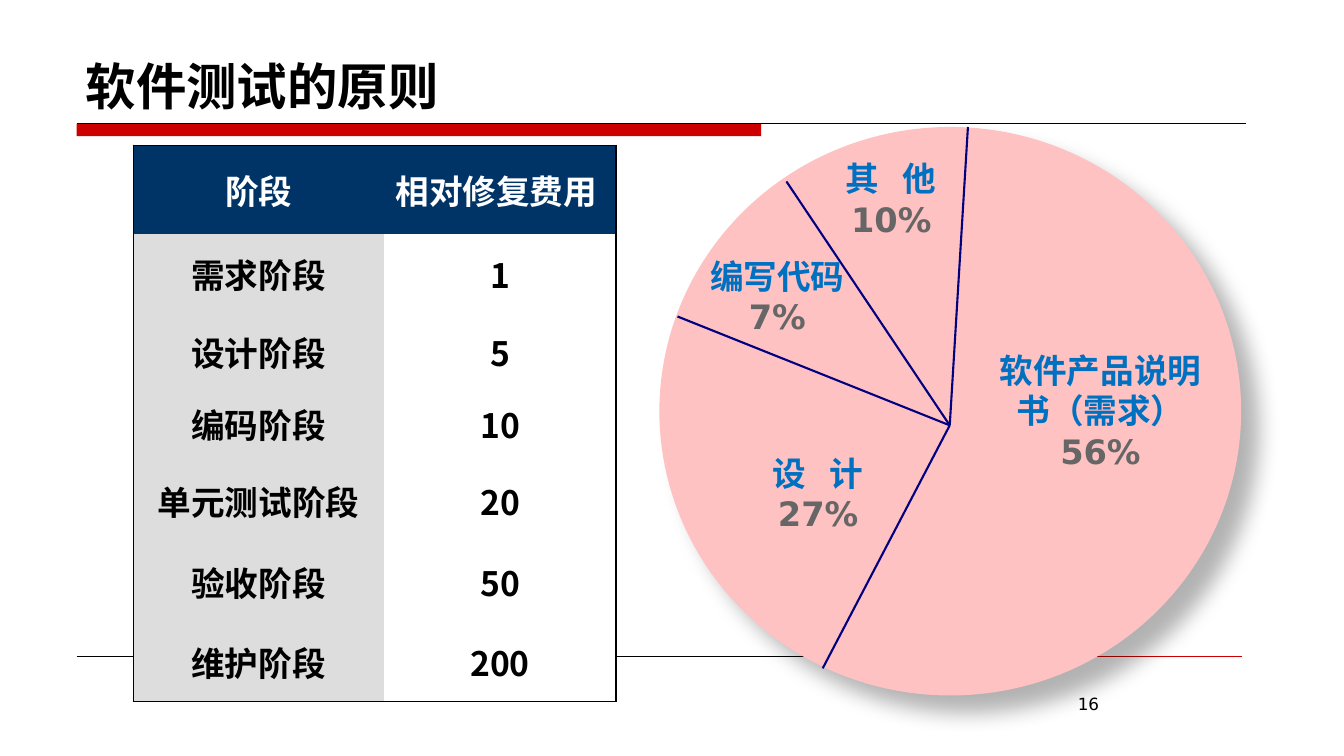
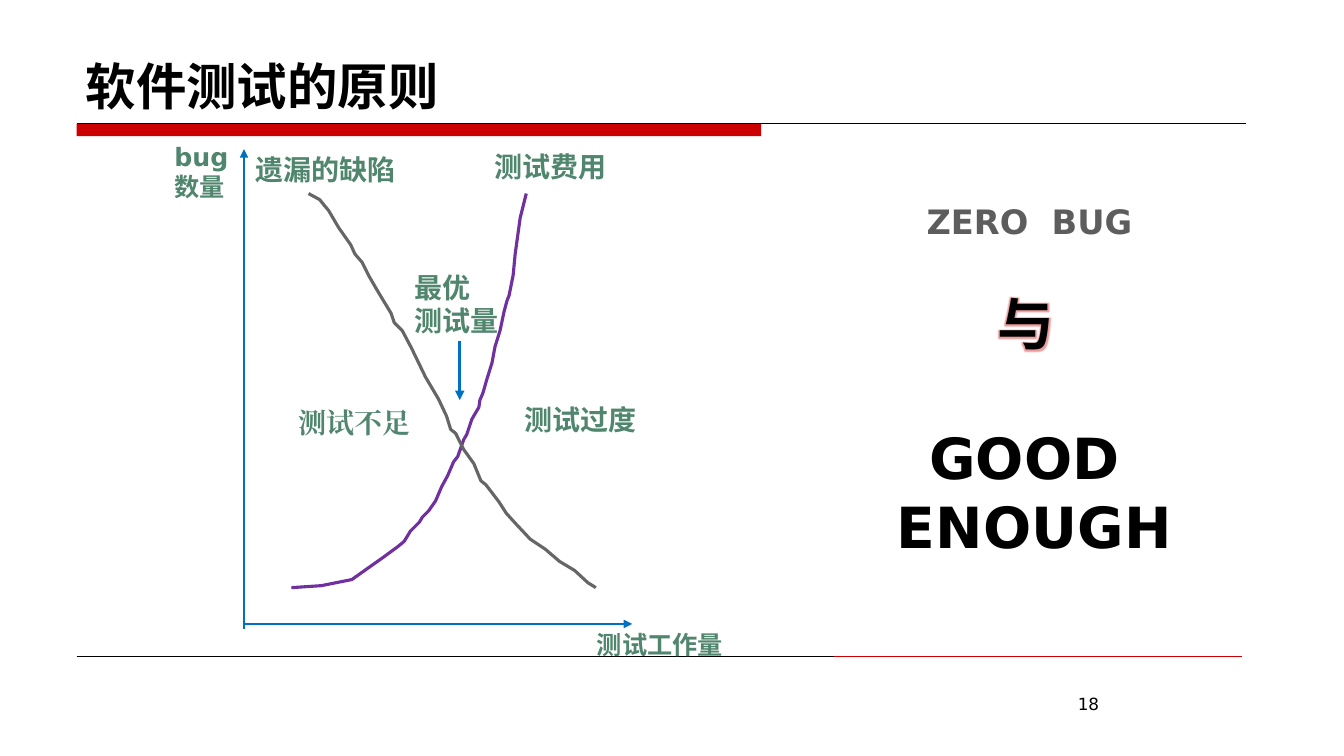
from lxml import etree
from pptx import Presentation
from pptx.dml.color import RGBColor
from pptx.enum.shapes import MSO_CONNECTOR, MSO_SHAPE, PP_PLACEHOLDER
from pptx.enum.text import MSO_ANCHOR, PP_ALIGN
from pptx.oxml.ns import qn
from pptx.util import Inches, Pt

STRAIGHT = MSO_CONNECTOR.STRAIGHT
RECTANGLE, OVAL = MSO_SHAPE.RECTANGLE, MSO_SHAPE.OVAL
LEFT, CENTER, RIGHT = PP_ALIGN.LEFT, PP_ALIGN.CENTER, PP_ALIGN.RIGHT
TOP, MIDDLE, BOTTOM = MSO_ANCHOR.TOP, MSO_ANCHOR.MIDDLE, MSO_ANCHOR.BOTTOM

BLACK = RGBColor(0x00, 0x00, 0x00)
WHITE = RGBColor(0xFF, 0xFF, 0xFF)
RED = RGBColor(0xCC, 0x00, 0x00)
DARK_BLUE = RGBColor(0x00, 0x33, 0x66)
NAVY = RGBColor(0x00, 0x00, 0x80)
BLUE = RGBColor(0x00, 0x70, 0xC0)
PINK = RGBColor(0xFF, 0xC2, 0xC2)
LIGHT_GRAY = RGBColor(0xDD, 0xDD, 0xDD)
GRAY = RGBColor(0x66, 0x66, 0x66)
SLOGAN_GRAY = RGBColor(0x5D, 0x5D, 0x5D)
GREEN = RGBColor(0x51, 0x86, 0x6E)
PURPLE = RGBColor(0x70, 0x30, 0xA0)

SANS, CJK, SERIF = "DejaVu Sans", "Noto Sans CJK SC", "Times New Roman"

TITLE = "软件测试的原则"
TITLE_BOX = (0.75, 0.29, 11.67, 0.91)
NUMBER_BOX = (8.83, 6.83, 2.17, 0.52)
BAND_BOX = (0.76, 1.23, 6.79, 0.12)
# start, end, colour, width
FRAME_LINES = [
    ((0.76, 1.23), (12.36, 1.23), BLACK, 0.75),
    ((0.76, 6.51), (8.27, 6.51), BLACK, 0.25),
    ((8.27, 6.51), (12.32, 6.51), RED, 0.25),
]

COST_ROWS = [
    ("阶段", "相对修复费用 "),
    ("需求阶段", "1"),
    ("设计阶段", "5"),
    ("编码阶段", "10"),
    ("单元测试阶段", "20"),
    ("验收阶段", "50"),
    ("维护阶段", "200"),
]
TABLE_BOX = (1.32, 1.44, 4.79, 5.52)
COLUMN_WIDTHS = (2.49, 2.3)
ROW_HEIGHTS = (0.88, 0.8, 0.74, 0.7, 0.81, 0.8, 0.79)
NO_TABLE_STYLE = "{2D5ABB26-0587-4C30-8999-92F81FD0307C}"

PIE_BOX = (6.54, 1.26, 5.77, 5.64)
PIE_CENTER = (9.42, 4.22)
PIE_EDGES = [(9.6, 1.26), (8.16, 6.63), (6.72, 3.14), (7.8, 1.8)]
PIE_LABELS = [
    ("其  他", "10%", (8.39, 1.57, 0.9, 0.78)),
    ("软件产品说明书（需求）", "56%", (9.78, 3.47, 2.27, 1.88)),
    ("编写代码", "7%", (6.9, 2.54, 1.62, 1.05)),
    ("设  计", "27%", (7.44, 4.49, 1.35, 1.07)),
]

# lines, box, size, colour
SLOGANS = [
    (["GOOD ", "ENOUGH"], (8.06, 4.15, 4.4, 1.46), 40.5, BLACK),
    (["ZERO  BUG"], (8.73, 1.94, 2.96, 0.5), 24, SLOGAN_GRAY),
]
AND_SIGN = (["与"], (9.66, 2.82, 1.03, 0.78), 40.5, BLACK)

# start, end, width
ARROWS = [
    ((2.42, 6.24), (2.42, 1.48), 2),
    ((2.41, 6.19), (6.27, 6.19), 2),
    ((4.56, 3.38), (4.56, 3.97), 2.25),
]
COST_CURVE = [
    (2.89, 5.83), (3.19, 5.81), (3.49, 5.75), (3.8, 5.53), (3.95, 5.42),
    (4.01, 5.37), (4.07, 5.27), (4.16, 5.18), (4.19, 5.13), (4.25, 5.07),
    (4.32, 4.97), (4.38, 4.83), (4.44, 4.72), (4.5, 4.58), (4.54, 4.53),
    (4.6, 4.36), (4.63, 4.31), (4.68, 4.16), (4.75, 4.04), (4.76, 3.97),
    (4.79, 3.9), (4.83, 3.76), (4.88, 3.6), (4.91, 3.44), (4.96, 3.28),
    (5, 3.09), (5.03, 2.98), (5.05, 2.93), (5.09, 2.73), (5.11, 2.52),
    (5.16, 2.16), (5.2, 2), (5.22, 1.92),
]
DEFECT_CURVE = [
    (3.06, 1.92), (3.17, 1.98), (3.26, 2.09), (3.36, 2.26), (3.48, 2.43),
    (3.52, 2.52), (3.59, 2.6), (3.66, 2.74), (3.73, 2.86), (3.88, 3.11),
    (3.91, 3.2), (3.99, 3.28), (4.08, 3.45), (4.22, 3.74), (4.35, 3.96),
    (4.43, 4.13), (4.47, 4.26), (4.52, 4.3), (4.6, 4.46), (4.7, 4.6),
    (4.77, 4.77), (4.82, 4.81), (4.95, 4.98), (5.02, 5.09), (5.11, 5.19),
    (5.26, 5.35), (5.41, 5.45), (5.55, 5.57), (5.7, 5.66), (5.83, 5.78),
    (5.91, 5.83),
]
# lines, box, size, font
CURVE_LABELS = [
    (["bug数量"], (1.73, 1.4, 0.69, 0.8), 18, SANS),
    (["测试工作量"], (5.92, 6.24, 1.36, 0.45), 18, SANS),
    (["测试不足"], (2.96, 4.02, 1.2, 0.54), 20, SERIF),
    (["测试过度"], (5.2, 3.99, 1.16, 0.6), 20, SANS),
    (["测试费用"], (4.9, 1.48, 1.22, 0.63), 20, SANS),
    (["遗漏的缺陷"], (2.53, 1.51, 1.46, 0.6), 20, SANS),
    (["最优", "测试量"], (4.11, 2.68, 1.08, 0.55), 20, SANS),
]


def inches(values):
    """Turn plain numbers into lengths."""
    return [Inches(value) for value in values]


def add_element(parent, tag, **attributes):
    """Append a child element to an XML parent."""
    return etree.SubElement(parent, qn(tag), {k: str(v) for k, v in attributes.items()})


def add_color(parent, color, alpha=100):
    """Append a colour with an opacity in percent."""
    element = add_element(parent, "a:srgbClr", val=color)
    if alpha < 100:
        add_element(element, "a:alpha", val=alpha * 1000)


def style(paragraph, size, color, font=SANS, align=LEFT, bold=True):
    """Format a whole paragraph, for Latin and Chinese text alike."""
    paragraph.alignment = align
    paragraph.font.size = Pt(size)
    paragraph.font.bold = bold
    paragraph.font.color.rgb = color
    paragraph.font.name = font
    add_element(paragraph._p.pPr.find(qn("a:defRPr")), "a:ea", typeface=font)


def add_text(slide, lines, box, size, colors, font=SANS, align=LEFT, bold=True, margin=0):
    """Add a text box with one paragraph per line; colors may hold one per line."""
    shape = slide.shapes.add_textbox(*inches(box))
    frame = shape.text_frame
    frame.word_wrap = True
    if margin is not None:
        frame.margin_left = frame.margin_right = Inches(margin)
        frame.margin_top = frame.margin_bottom = Inches(margin)
    frame.text = "\n".join(lines)
    for index, paragraph in enumerate(frame.paragraphs):
        color = colors[index] if isinstance(colors, list) else colors
        style(paragraph, size, color, font, align, bold)
    return shape


def add_filled(slide, kind, box, color):
    """Add a preset shape with a fill and no line."""
    shape = slide.shapes.add_shape(kind, *inches(box))
    shape.shadow.inherit = False
    shape.fill.solid()
    shape.fill.fore_color.rgb = color
    shape.line.fill.background()
    return shape


def add_line(slide, start, end, color, width, arrow=False):
    """Add a straight line, with an arrowhead at its end if asked."""
    line = slide.shapes.add_connector(STRAIGHT, *inches(start + end))
    line.line.color.rgb = color
    line.line.width = Pt(width)
    properties = line.element.spPr
    if arrow:
        add_element(properties.find(qn("a:ln")), "a:tailEnd", type="triangle")
    add_element(properties, "a:effectLst")
    return line


def add_curve(slide, points, color):
    """Add an open outline through the points."""
    start, *rest = [inches(point) for point in points]
    builder = slide.shapes.build_freeform(*start)
    builder.add_line_segments(rest, close=False)
    curve = builder.convert_to_shape()
    curve.shadow.inherit = False
    curve.fill.background()
    curve.line.color.rgb = color
    curve.line.width = Pt(2.25)


def build_frame(slide):
    """Put the red band and the rules on the layout of the slide."""
    layout = slide.slide_layout
    for placeholder in list(layout.placeholders):
        if placeholder.placeholder_format.type != PP_PLACEHOLDER.TITLE:
            layout.shapes.element.remove(placeholder.element)
    parts = [add_filled(slide, RECTANGLE, BAND_BOX, RED)]
    parts += [add_line(slide, *line) for line in FRAME_LINES]
    for part in parts:
        layout.shapes.element.append(part.element)


def add_slide(presentation, number):
    """Add a slide with the shared title and its page number."""
    slide = presentation.slides.add_slide(presentation.slide_layouts[5])
    if len(presentation.slides) == 1:
        build_frame(slide)
    title = slide.shapes.title
    title.left, title.top, title.width, title.height = inches(TITLE_BOX)
    title.text_frame.text = TITLE
    title.text_frame.vertical_anchor = BOTTOM
    style(title.text_frame.paragraphs[0], 36, BLACK, CJK)
    add_text(slide, [number], NUMBER_BOX, 12, BLACK, align=RIGHT, bold=False, margin=None)
    return slide


def add_cost_table(slide):
    """Add the table of repair costs with an outer border."""
    last_row, last_column = len(COST_ROWS) - 1, len(COLUMN_WIDTHS) - 1
    holder = slide.shapes.add_table(last_row + 1, last_column + 1, *inches(TABLE_BOX))
    next(holder.element.iter(qn("a:tableStyleId"))).text = NO_TABLE_STYLE
    table = holder.table
    table.first_row = table.horz_banding = False
    for column, width in zip(table.columns, COLUMN_WIDTHS):
        column.width = Inches(width)
    for r, (values, height) in enumerate(zip(COST_ROWS, ROW_HEIGHTS)):
        table.rows[r].height = Inches(height)
        for c, value in enumerate(values):
            cell = table.cell(r, c)
            cell.text = value
            cell.vertical_anchor = MIDDLE
            cell.margin_left = cell.margin_right = Inches(0.07)
            cell.margin_top = cell.margin_bottom = Inches(0.04)
            edges = {"a:lnL": c == 0, "a:lnR": c == last_column,
                     "a:lnT": r == 0, "a:lnB": r == last_row}
            for tag, on_edge in edges.items():
                if on_edge:
                    border = add_element(cell._tc.tcPr, tag, w=Pt(1))
                    add_color(add_element(border, "a:solidFill"), BLACK)
            cell.fill.solid()
            cell.fill.fore_color.rgb = DARK_BLUE if r == 0 else (LIGHT_GRAY, WHITE)[c]
            paragraph = cell.text_frame.paragraphs[0]
            style(paragraph, 24, WHITE if r == 0 else BLACK, CJK, CENTER)
            if r > 0:
                paragraph.space_before = Pt(4.8)


def add_defect_pie(slide):
    """Add the disc of defect sources, its dividing lines and labels."""
    disc = add_filled(slide, OVAL, PIE_BOX, PINK)
    effects = disc.element.spPr.find(qn("a:effectLst"))
    shadow = add_element(effects, "a:outerShdw", blurRad=Pt(15), dist=Pt(18),
                         dir=45 * 60000, algn="tl", rotWithShape=0)
    add_color(shadow, BLACK, 30)
    for edge in PIE_EDGES:
        add_line(slide, PIE_CENTER, edge, NAVY, 1.5)
    for name, share, box in PIE_LABELS:
        add_text(slide, [name, share], box, 24, [BLUE, GRAY], align=CENTER)


def add_slogans(slide):
    """Add the slogans and the glowing sign between them."""
    for slogan in SLOGANS:
        add_text(slide, *slogan, align=CENTER, margin=None)
    sign = add_text(slide, *AND_SIGN, align=CENTER, margin=None)
    run = sign.text_frame.paragraphs[0].runs[0]
    effects = add_element(run._r.get_or_add_rPr(), "a:effectLst")
    add_color(add_element(effects, "a:glow", rad=Pt(4)), RED, 40)


def add_effort_diagram(slide):
    """Add the axes, the two curves and their labels."""
    for start, end, width in ARROWS:
        add_line(slide, start, end, BLUE, width, arrow=True)
    add_curve(slide, COST_CURVE, PURPLE)
    add_curve(slide, DEFECT_CURVE, GRAY)
    for lines, box, size, font in CURVE_LABELS:
        add_text(slide, lines, box, size, GREEN, font)


def main():
    """Build and save the presentation."""
    presentation = Presentation()
    presentation.slide_width, presentation.slide_height = inches((13.33, 7.5))
    cost_slide = add_slide(presentation, "16")
    add_cost_table(cost_slide)
    add_defect_pie(cost_slide)
    effort_slide = add_slide(presentation, "18")
    add_slogans(effort_slide)
    add_effort_diagram(effort_slide)
    presentation.save("out.pptx")


main()
